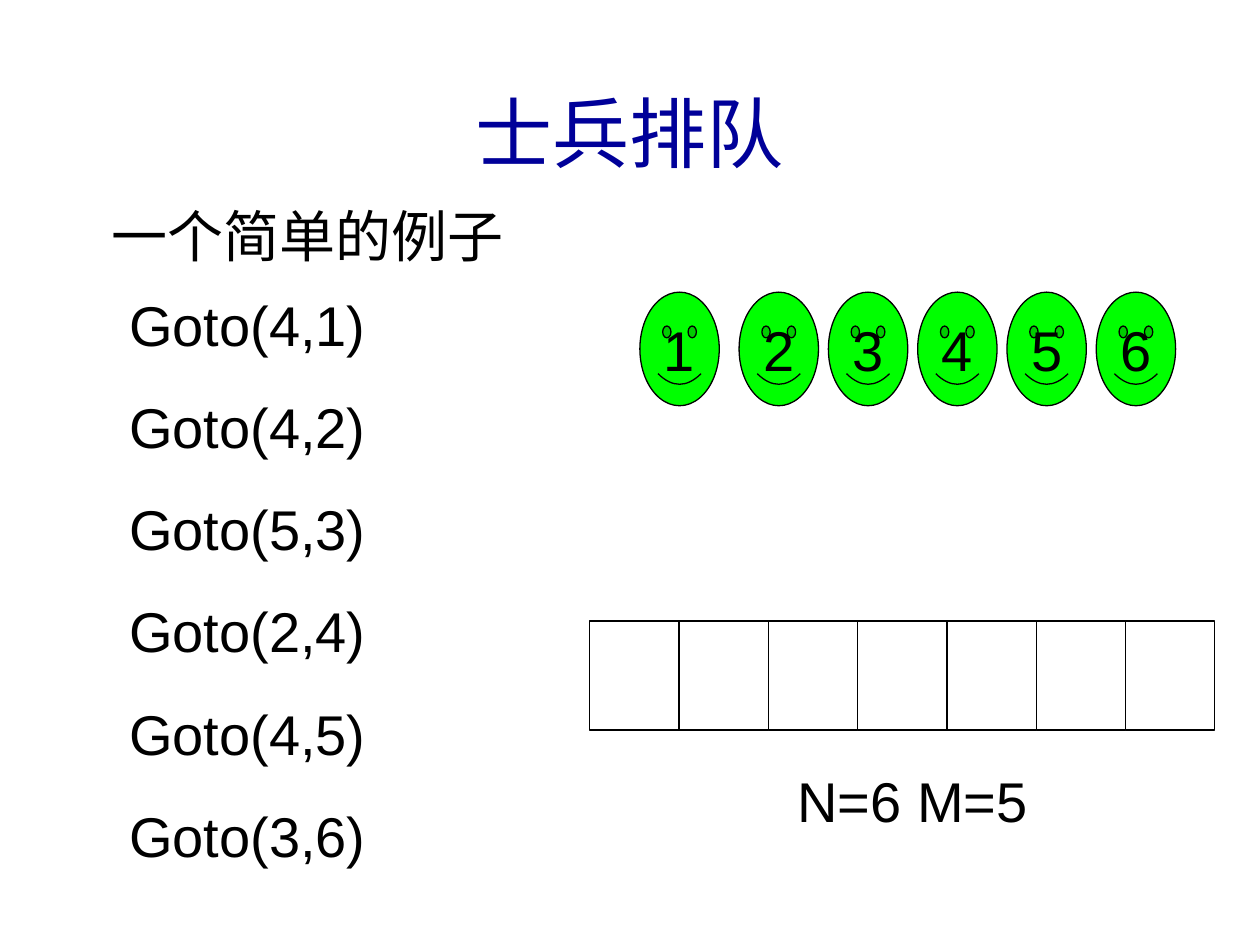
from pptx import Presentation
from pptx.dml.color import RGBColor
from pptx.enum.shapes import MSO_SHAPE
from pptx.enum.text import MSO_ANCHOR, MSO_AUTO_SIZE, PP_ALIGN
from pptx.oxml import parse_xml
from pptx.oxml.ns import nsdecls
from pptx.util import Cm, Pt


def color(value):
    """Turn a hex string into a colour."""
    return RGBColor.from_string(value)


def write(box, lines, size=32, ink="000000", before=20, anchor=MSO_ANCHOR.TOP):
    """Fill a box with centred, unbulleted lines."""
    frame = box.text_frame
    frame.word_wrap = True
    frame.vertical_anchor = anchor
    frame.text = "\n".join(lines)
    for para in frame.paragraphs:
        para.alignment = PP_ALIGN.CENTER
        para.space_before = Pt(before)
        span = para.runs[0]
        for name, value in {"name": "Arial", "size": Pt(size)}.items():
            setattr(span.font, name, value)
        span.font.color.rgb = color(ink)


deck = Presentation()
deck.slide_width, deck.slide_height = Cm(25.4), Cm(19.05)
page = deck.slides.add_slide(deck.slide_layouts[1])
title, commands = page.placeholders

for box, place in (
    (title, {"left": 0.84, "top": 1.07, "width": 23.72, "height": 3.18}),
    (commands, {"left": 0.89, "top": 5.72, "width": 8.2, "height": 11.91}),
):
    for name, value in place.items():
        setattr(box, name, Cm(value))

write(title, ["士兵排队"], size=44, ink="000099", before=0, anchor=MSO_ANCHOR.MIDDLE)

moves = [(4, 1), (4, 2), (5, 3), (2, 4), (4, 5), (3, 6)]
write(commands, [f"Goto({place},{soldier})" for place, soldier in moves])
commands.text_frame.auto_size = MSO_AUTO_SIZE.NONE
for para in commands.text_frame.paragraphs:
    properties = para._p.get_or_add_pPr()
    properties.set("marL", "0")
    properties.set("indent", "0")
    properties.append(parse_xml(f"<a:buNone {nsdecls('a')}/>"))

pitch = 1.8
for index in range(7):
    cell = page.shapes.add_shape(
        MSO_SHAPE.RECTANGLE, Cm(11.89 + index * pitch), Cm(12.52), Cm(pitch), Cm(2.2)
    )
    cell.shadow.inherit = False
    cell.fill.background()
    cell.line.color.rgb = color("000000")
    cell.line.width = Pt(0.75)

for number in range(1, 7):
    left = 12.9 if number == 1 else 14.9 + (number - 2) * pitch
    soldier = page.shapes.add_shape(
        MSO_SHAPE.SMILEY_FACE, Cm(left), Cm(5.89), Cm(1.6), Cm(2.29)
    )
    soldier.adjustments[0] = 0.09
    soldier.shadow.inherit = False
    soldier.fill.solid()
    soldier.fill.fore_color.rgb = color("00FF00")
    soldier.line.color.rgb = color("000000")
    soldier.line.width = Pt(0.75)
    write(soldier, [str(number)], anchor=MSO_ANCHOR.MIDDLE)

for words, left, top in (("N=6 M=5", 14.1, 15.32), ("一个简单的例子", 1.9, 3.94)):
    label = page.shapes.add_textbox(Cm(left), Cm(top), Cm(8.6), Cm(1.63))
    write(label, [words])
    label.text_frame.auto_size = MSO_AUTO_SIZE.SHAPE_TO_FIT_TEXT

deck.save("out.pptx")
